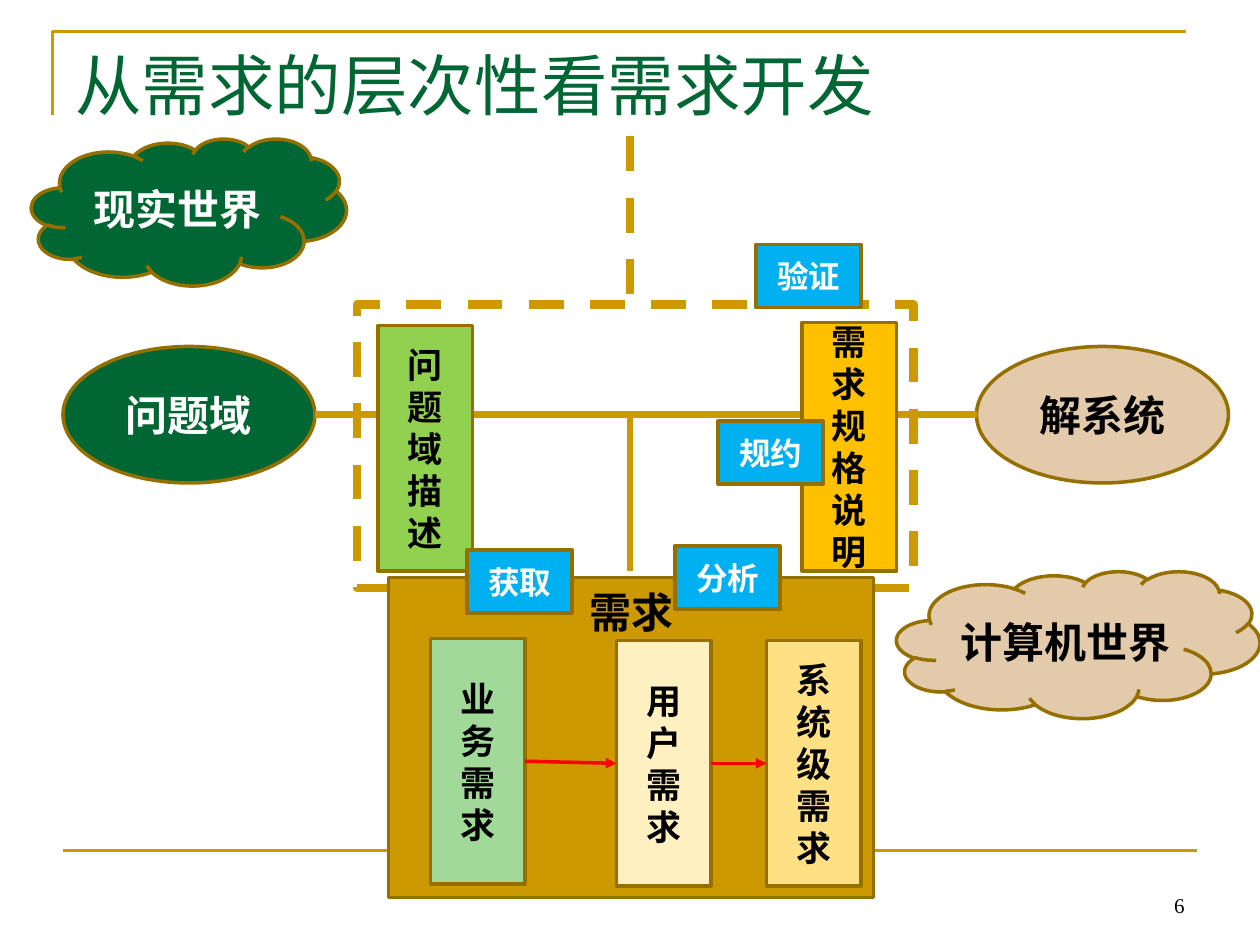
from lxml import etree
from pptx import Presentation
from pptx.dml.color import RGBColor
from pptx.enum.dml import MSO_LINE
from pptx.enum.shapes import MSO_CONNECTOR, MSO_SHAPE
from pptx.enum.text import MSO_ANCHOR, PP_ALIGN
from pptx.oxml.ns import qn
from pptx.util import Inches, Pt

RECT, OVAL, CLOUD = MSO_SHAPE.RECTANGLE, MSO_SHAPE.OVAL, MSO_SHAPE.CLOUD
TOP, MIDDLE, BOTTOM = MSO_ANCHOR.TOP, MSO_ANCHOR.MIDDLE, MSO_ANCHOR.BOTTOM
LEFT, CENTER, RIGHT = PP_ALIGN.LEFT, PP_ALIGN.CENTER, PP_ALIGN.RIGHT
DASH = MSO_LINE.DASH
STRAIGHT = MSO_CONNECTOR.STRAIGHT

GOLD, EDGE, GREEN, TAN = "CC9900", "956F00", "006633", "E2CAAA"
BLUE, RED, WHITE, BLACK = "00B0F0", "FF0000", "FFFFFF", "000000"


def u(n):
    """Grid unit: 12 to the inch, so the slide has 120 columns and 90 rows."""
    return Inches(n / 12)


def color(value):
    return RGBColor.from_string(value)


def style_line(line, value, width, dash=None):
    line.color.rgb = color(value)
    line.width = Pt(width)
    if dash:
        line.dash_style = dash


def write(sp, text, size, value, font="Arial", bold=True, align=CENTER, anchor=MIDDLE):
    tf = sp.text_frame
    tf.word_wrap = True
    tf.vertical_anchor = anchor
    p = tf.paragraphs[0]
    p.text = text
    p.alignment = align
    p.font.name, p.font.size, p.font.bold = font, Pt(size), bold
    p.font.color.rgb = color(value)
    return tf


def add_label(s, kind, box, fill, text, size, value=BLACK, **layout):
    sp = s.shapes.add_shape(kind, *map(u, box))
    sp.shadow.inherit = False
    sp.fill.solid()
    sp.fill.fore_color.rgb = color(fill)
    style_line(sp.line, EDGE, 2)
    write(sp, text, size, value, **layout)
    return sp


def add_line(s, start, end, value, width, dash=None):
    cxn = s.shapes.add_connector(STRAIGHT, *map(u, start + end))
    style_line(cxn.line, value, width, dash)
    etree.SubElement(cxn._element.spPr, qn("a:effectLst"))
    return cxn


def add_arrow(s, source, target):
    cxn = add_line(s, (0, 0), (0, 0), RED, 2)
    cxn.begin_connect(source, 3)
    cxn.end_connect(target, 1)
    etree.SubElement(cxn.line._get_or_add_ln(), qn("a:tailEnd"), type="triangle")


def add_frame(s, box):
    """Corner rule, title, footer rule and page number."""
    x, y, w, h = box
    builder = s.shapes.build_freeform(u(x - 1), u(y + 8))
    builder.add_line_segments([(u(x - 1), u(y)), (u(x + w - 1), u(y))], close=False)
    corner = builder.convert_to_shape()
    corner.shadow.inherit = False
    corner.fill.background()
    style_line(corner.line, GOLD, 1.5)
    add_line(s, (x, y + h), (x + w, y + h), GOLD, 1.5)

    title = s.shapes.add_textbox(u(x), u(y + 0.6), u(w), u(15))
    write(title, "从需求的层次性看需求开发", 38, GREEN, "Times New Roman", False, LEFT, TOP)
    number = s.shapes.add_textbox(u(x + w - 28), u(y + h + 1), u(28), u(6))
    write(number, "6", 12, BLACK, "Times New Roman", False, RIGHT, BOTTOM)


def add_worlds(s, box):
    """Clouds and ellipses of the real world and the computer world."""
    x, y, w, h = box
    add_label(s, CLOUD, (x, y, 30, 14), GREEN, "现实世界", 24, WHITE)
    add_label(s, CLOUD, (x + w - 34.6, y + h - 14, 34.6, 14), TAN, "计算机世界", 24)
    add_label(s, OVAL, (x + 3, y + 19.8, 24, 13), GREEN, "问题域", 24, WHITE)
    add_label(s, OVAL, (x + w - 27, y + 19.8, 24, 13), TAN, "解系统", 24)


def add_boundary(s, box):
    """Dashed divider and the dashed zone where the two worlds meet."""
    add_line(s, (60, 13), (60, 74), GOLD, 5, DASH)
    zone = s.shapes.add_shape(RECT, *map(u, box))
    zone.shadow.inherit = False
    zone.fill.solid()
    zone.fill.fore_color.rgb = color(WHITE)
    style_line(zone.line, GOLD, 5, DASH)


def add_documents(s, box):
    """Axis between the worlds, with the two documents standing on it."""
    x, y, w, h = box
    axis = y + 8.8
    add_line(s, (30, axis), (93, axis), GOLD, 4)
    add_line(s, (60, axis), (60, y + h), GOLD, 4)
    add_label(s, RECT, (x, y + 0.3, 9, h - 0.3), "92D050", "问题域描述", 20)
    add_label(s, RECT, (x + w - 9, y, 9, h), "FFC000", "需求规格说明", 20)


def add_requirements(s, box):
    """Requirement panel with its three levels, joined by arrows."""
    x, y, w, h = box
    panel = add_label(s, RECT, box, GOLD, "需求", 24, anchor=TOP)
    panel.text_frame.margin_top = Inches(0.07)
    levels = [
        (4, 5.8, "A1DA98", "业务需求"),
        (21.7, 6, "FFF0C2", "用户需求"),
        (36, 6, "FFE085", "系统级需求"),
    ]
    bars = [add_label(s, RECT, (x + dx, y + dy, 9, 23.4), fill, text, 20)
            for dx, dy, fill, text in levels]
    for source, target in zip(bars, bars[1:]):
        add_arrow(s, source, target)


def add_activities(s, box):
    """Blue tags for the development activities."""
    x, y, w, h = box
    tags = [(0, 29.1, "获取"), (19.8, 28.7, "分析"), (23.9, 16.8, "规约"), (27.5, 0, "验证")]
    for dx, dy, text in tags:
        add_label(s, RECT, (x + dx, y + dy, 10, 6), BLUE, text, 18, WHITE)


def main():
    prs = Presentation()
    prs.slide_width, prs.slide_height = u(120), u(90)
    s = prs.slides.add_slide(prs.slide_layouts[6])
    add_frame(s, (6, 3, 108, 78))
    add_boundary(s, (34, 29, 53, 27))
    add_worlds(s, (3, 13.2, 117, 55.2))
    add_documents(s, (36, 30.7, 49.4, 23.7))
    add_requirements(s, (37, 55, 46.2, 30.5))
    add_activities(s, (44.5, 23.3, 37.5, 35.1))
    prs.save("out.pptx")


if __name__ == "__main__":
    main()
